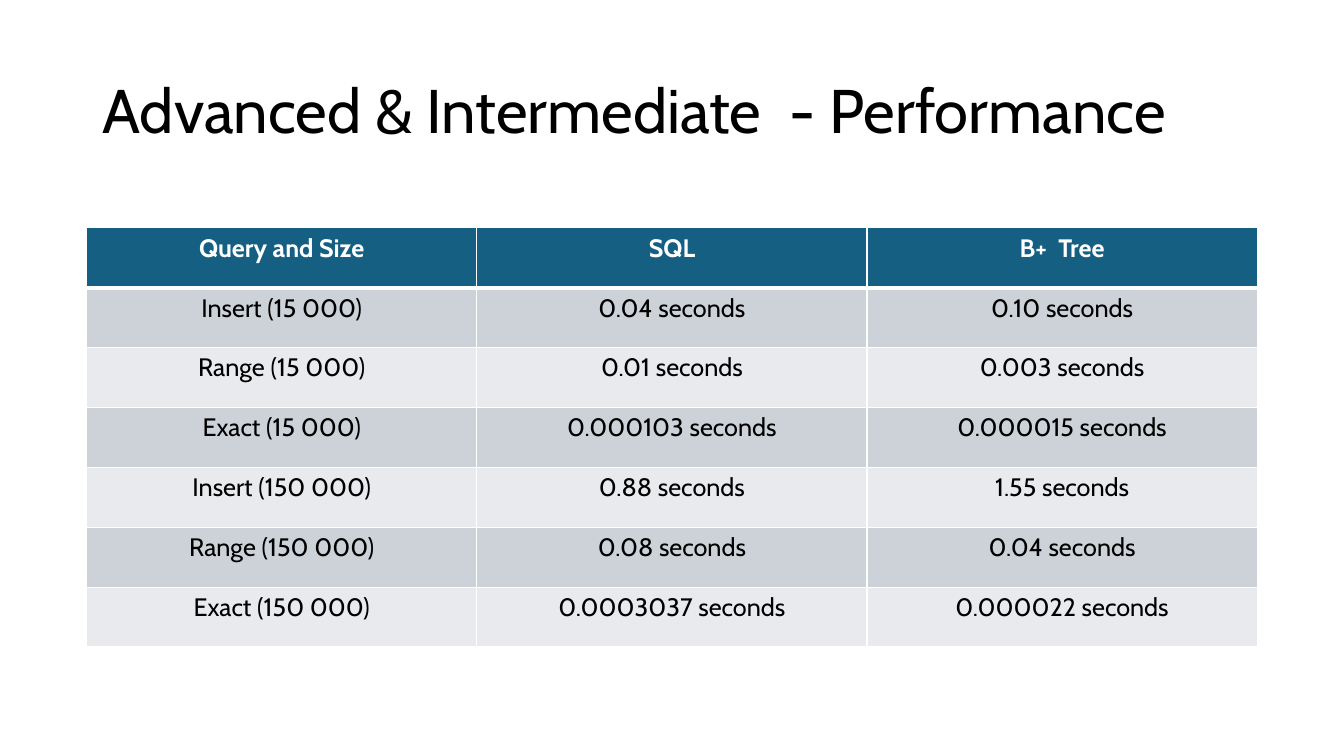
from lxml import etree
from pptx import Presentation
from pptx import util as u
from pptx.dml.color import RGBColor
from pptx.enum import text
from pptx.oxml.ns import qn

TITLE = "Advanced & Intermediate  - Performance"
ROWS = [
    ("Query and Size", "SQL", "B+  Tree"),
    ("Insert (15 000)", "0.04 seconds", "0.10 seconds"),
    ("Range (15 000)", "0.01 seconds", "0.003 seconds"),
    ("Exact (15 000)", "0.000103 seconds", "0.000015 seconds"),
    ("Insert (150 000)", "0.88 seconds", "1.55 seconds"),
    ("Range (150 000)", "0.08 seconds", "0.04 seconds"),
    ("Exact (150 000)", "0.0003037 seconds", "0.000022 seconds"),
]

FONT = "Cabin"
BLACK = RGBColor(0x00, 0x00, 0x00)
WHITE = RGBColor(0xFF, 0xFF, 0xFF)
HEADER = RGBColor(0x15, 0x60, 0x82)
BANDS = (RGBColor(0xE8, 0xEA, 0xED), RGBColor(0xCC, 0xD2, 0xD8))

PX = u.Inches(1) // 100
TITLE_BOX = (92, 40, 1150, 145)
TABLE_BOX = (86, 226, 1161, 416)


def scaled(lengths):
    return [length * PX for length in lengths]


def style(para, size, color, bold=False):
    for span in para.runs:
        span.font.name = FONT
        span.font.size = u.Pt(size)
        span.font.bold = bold
        span.font.color.rgb = color


def add_title(page):
    box = page.shapes.add_textbox(*scaled(TITLE_BOX))
    frame = box.text_frame
    frame.word_wrap = True
    frame.vertical_anchor = text.MSO_ANCHOR.MIDDLE
    frame.text = TITLE
    para = frame.paragraphs[0]
    para.line_spacing = 0.9
    style(para, 44, BLACK)


def set_borders(cell, row):
    widths = {"L": 1, "R": 1, "T": 3 if row == 1 else 1, "B": 3 if row == 0 else 1}
    properties = cell._tc.get_or_add_tcPr()
    for side, width in widths.items():
        line = etree.SubElement(properties, qn(f"a:ln{side}"), w=str(u.Pt(width)))
        fill = etree.SubElement(line, qn("a:solidFill"))
        etree.SubElement(fill, qn("a:srgbClr"), val=str(WHITE))


def add_results(page):
    left, top, width, height = scaled(TABLE_BOX)
    table = page.shapes.add_table(
        len(ROWS), len(ROWS[0]), left, top, width, height
    ).table
    for row, values in enumerate(ROWS):
        heading = row == 0
        for column, value in enumerate(values):
            cell = table.cell(row, column)
            set_borders(cell, row)
            cell.fill.solid()
            cell.fill.fore_color.rgb = HEADER if heading else BANDS[row % 2]
            cell.text_frame.text = value
            para = cell.text_frame.paragraphs[0]
            para.alignment = text.PP_ALIGN.CENTER
            style(para, 18, WHITE if heading else BLACK, heading)


def main():
    deck = Presentation()
    deck.slide_width = u.Inches(13.33)
    deck.slide_height = u.Inches(7.5)
    page = deck.slides.add_slide(deck.slide_layouts[6])
    add_title(page)
    add_results(page)
    deck.save("out.pptx")


if __name__ == "__main__":
    main()
